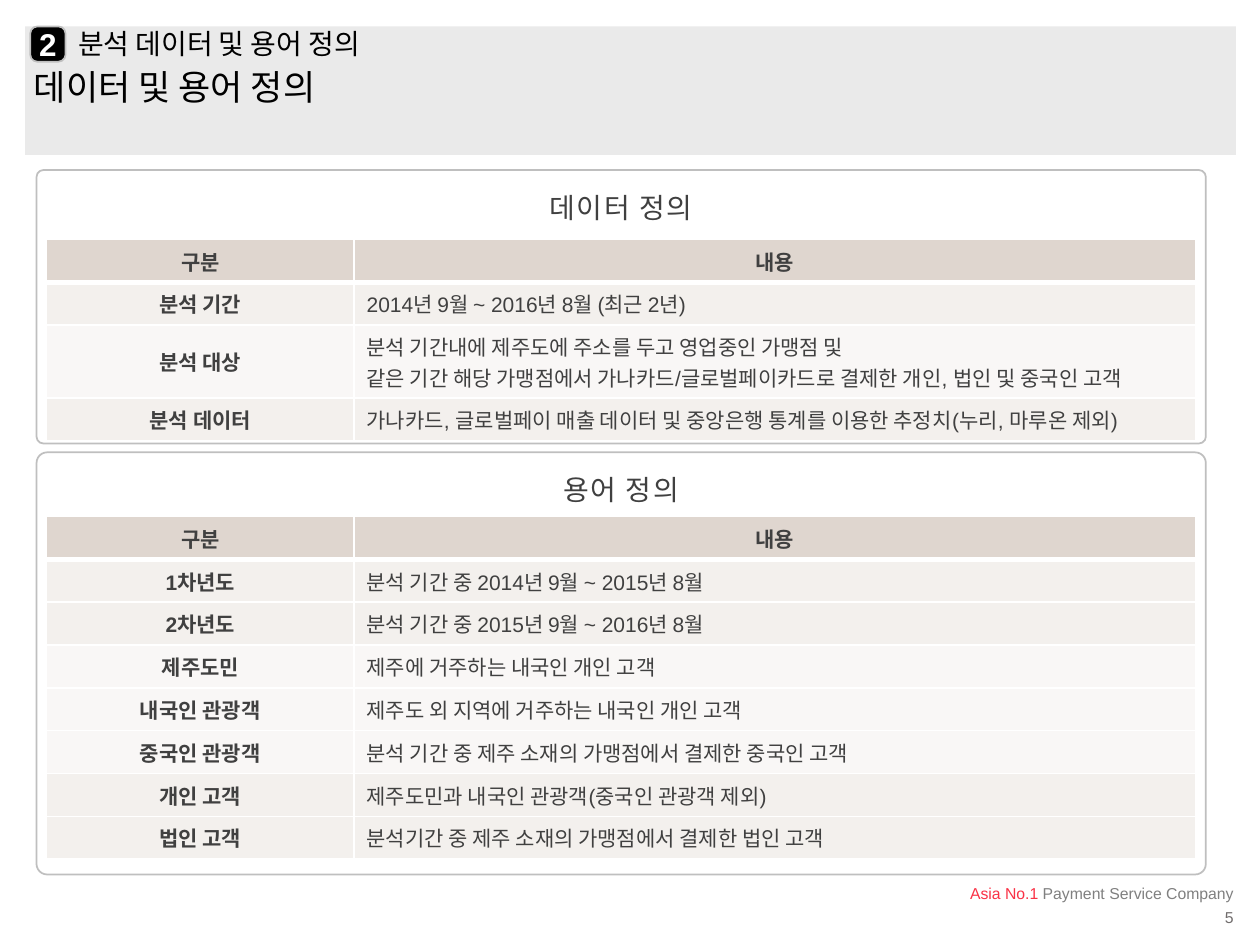
"""Build the slide that defines the analysis data and terms in two framed tables."""
from dataclasses import dataclass

from lxml.etree import SubElement
from pptx import Presentation
from pptx.dml.color import RGBColor
from pptx.enum.shapes import MSO_SHAPE as Shape
from pptx.enum.text import MSO_ANCHOR as Anchor, PP_ALIGN as Align
from pptx.oxml.ns import qn
from pptx.util import Inches, Pt


@dataclass(frozen=True)
class Theme:
    font: str = "Arial"
    black: str = "000000"
    white: str = "FFFFFF"
    ink: str = "404040"
    gray: str = "808080"
    page_gray: str = "716D6D"
    accent: str = "FA3246"
    band: str = "EAEAEA"
    frame: str = "BFBFBF"
    head: str = "DFD6CF"
    dark_row: str = "F3F0ED"
    light_row: str = "F9F7F6"
    headline: int = 20
    title: int = 16
    badge: int = 18
    cell: int = 12
    small: int = 9


THEME = Theme()
DARK, LIGHT = THEME.dark_row, THEME.light_row
SECTION_NUMBER = "2"
SECTION = "분석 데이터 및 용어 정의"
HEADLINE = "데이터 및 용어 정의"
SLOGAN = [("Asia No.1 ", THEME.accent), ("Payment Service Company", THEME.gray)]
PAGE = "5"
HEADER = ("구분", "내용", THEME.head)
PANELS = [
    {
        "title": "데이터 정의", "top": 1.35, "height": 2.17, "table_top": 1.9,
        "rows": [
            ("분석 기간", "2014년 9월 ~ 2016년 8월 (최근 2년)", DARK),
            ("분석 대상", "분석 기간내에 제주도에 주소를 두고 영업중인 가맹점 및\n"
             "같은 기간 해당 가맹점에서 가나카드/글로벌페이카드로 결제한 개인, 법인 및 중국인 고객", LIGHT),
            ("분석 데이터", "가나카드, 글로벌페이 매출 데이터 및 중앙은행 통계를 이용한 추정치"
             "(누리, 마루온 제외)", DARK),
        ],
    },
    {
        "title": "용어 정의", "top": 3.59, "height": 3.35, "table_top": 4.1,
        "rows": [
            ("1차년도", "분석 기간 중 2014년 9월 ~ 2015년 8월", DARK),
            ("2차년도", "분석 기간 중 2015년 9월 ~ 2016년 8월", DARK),
            ("제주도민", "제주에 거주하는 내국인 개인 고객", LIGHT),
            ("내국인 관광객", "제주도 외 지역에 거주하는 내국인 개인 고객", LIGHT),
            ("중국인 관광객", "분석 기간 중 제주 소재의 가맹점에서 결제한 중국인 고객", LIGHT),
            ("개인 고객", "제주도민과 내국인 관광객(중국인 관광객 제외)", DARK),
            ("법인 고객", "분석기간 중 제주 소재의 가맹점에서 결제한 법인 고객", DARK),
        ],
    },
]
PANEL_LEFT, PANEL_WIDTH = 0.29, 9.28
TABLE_LEFT, COLUMNS = 0.37, (2.44, 6.68)
ROW_HEIGHT, EXTRA_LINE = 0.34, 0.24


def color(value):
    return RGBColor.from_string(value)


def style(font, size, ink, bold=False):
    font.name, font.size, font.bold = THEME.font, Pt(size), bold
    font.color.rgb = color(ink)


def fill_frame(frame, runs, size, align=Align.LEFT, anchor=Anchor.TOP,
               insets=(0, 0, 0, 0), spacing=1.0, bold=False, tracking=0):
    frame.word_wrap, frame.vertical_anchor = True, anchor
    (frame.margin_left, frame.margin_top,
     frame.margin_right, frame.margin_bottom) = map(Inches, insets)
    paragraph = frame.paragraphs[0]
    paragraph.alignment, paragraph.line_spacing = align, spacing
    for words, ink in runs:
        run = paragraph.add_run()
        run.text = words
        style(run.font, size, ink, bold)
        if tracking:
            run._r.get_or_add_rPr().set("spc", str(tracking * 100))


def add_text(slide, box, runs, size, **layout):
    frame = slide.shapes.add_textbox(*map(Inches, box)).text_frame
    fill_frame(frame, runs, size, **layout)


def add_block(slide, kind, box, fill=None, line=None, corner=None):
    block = slide.shapes.add_shape(kind, *map(Inches, box))
    block.shadow.inherit = False
    if corner is not None:
        block.adjustments[0] = corner
    if fill:
        block.fill.solid()
        block.fill.fore_color.rgb = color(fill)
    else:
        block.fill.background()
    if line:
        block.line.color.rgb, block.line.width = color(line), Pt(1)
    else:
        block.line.fill.background()
    return block


def add_borders(cell, widths):
    properties = cell._tc.get_or_add_tcPr()
    for side, width in widths.items():
        border = SubElement(properties, qn(f"a:ln{side}"), w=str(Pt(width)))
        solid = SubElement(border, qn("a:solidFill"))
        SubElement(solid, qn("a:srgbClr"), val=THEME.white)


def add_definitions(slide, top, definitions):
    rows = [HEADER, *definitions]
    heights = [ROW_HEIGHT + EXTRA_LINE * content.count("\n") for _, content, _ in rows]
    box = (TABLE_LEFT, top, sum(COLUMNS), sum(heights))
    table = slide.shapes.add_table(len(rows), len(COLUMNS), *map(Inches, box)).table
    for column, width in zip(table.columns, COLUMNS):
        column.width = Inches(width)
    for row_index, (*texts, fill) in enumerate(rows):
        table.rows[row_index].height = Inches(heights[row_index])
        for column_index, words in enumerate(texts):
            cell = table.cell(row_index, column_index)
            label = row_index == 0 or column_index == 0
            add_borders(cell, {"L": 1, "R": 1, "T": 3 if row_index == 1 else 1,
                               "B": 3 if row_index == 0 else 1})
            cell.fill.solid()
            cell.fill.fore_color.rgb = color(fill)
            cell.vertical_anchor = Anchor.MIDDLE
            cell.text = words
            for paragraph in cell.text_frame.paragraphs:
                paragraph.alignment = Align.CENTER if label else Align.LEFT
                style(paragraph.font, THEME.cell, THEME.ink, label)


def add_panel(slide, panel):
    box = (PANEL_LEFT, panel["top"], PANEL_WIDTH, panel["height"])
    add_text(slide, (*box[:3], 0.63), [(panel["title"], THEME.ink)], THEME.title,
             align=Align.CENTER, insets=(0.08, 0.08, 0.08, 0.12), spacing=1.3, tracking=1)
    add_definitions(slide, panel["table_top"], panel["rows"])
    add_block(slide, Shape.ROUNDED_RECTANGLE, box, line=THEME.frame, corner=0.025)


def main():
    deck = Presentation()
    deck.slide_width, deck.slide_height = Inches(10), Inches(7.5)
    slide = deck.slides.add_slide(deck.slide_layouts[6])
    add_block(slide, Shape.RECTANGLE, (0.2, 0.21, 9.61, 1.02), fill=THEME.band)
    add_text(slide, (9.29, 7.22, 0.5, 0.14), [(PAGE, THEME.page_gray)], THEME.small,
             align=Align.RIGHT, spacing=0.9)
    add_text(slide, (7.07, 6.98, 2.83, 0.22), SLOGAN, THEME.small, align=Align.RIGHT,
             anchor=Anchor.MIDDLE, insets=(0.11, 0.06, 0.11, 0.06))
    add_text(slide, (0.27, 0.56, 8.9, 0.31), [(HEADLINE, THEME.black)], THEME.headline,
             spacing=0.9)
    add_text(slide, (0.25, 0.21, 8.9, 0.3), [(SECTION, THEME.black)], THEME.title,
             anchor=Anchor.MIDDLE, insets=(0.37, 0, 0, 0), spacing=0.9)
    badge = add_block(slide, Shape.ROUNDED_RECTANGLE, (0.24, 0.21, 0.28, 0.28),
                      fill=THEME.black, line=THEME.frame, corner=0.2)
    fill_frame(badge.text_frame, [(SECTION_NUMBER, THEME.white)], THEME.badge,
               align=Align.CENTER, anchor=Anchor.MIDDLE, insets=(0, 0.08, 0, 0.08), bold=True)
    for panel in PANELS:
        add_panel(slide, panel)
    deck.save("out.pptx")


if __name__ == "__main__":
    main()
